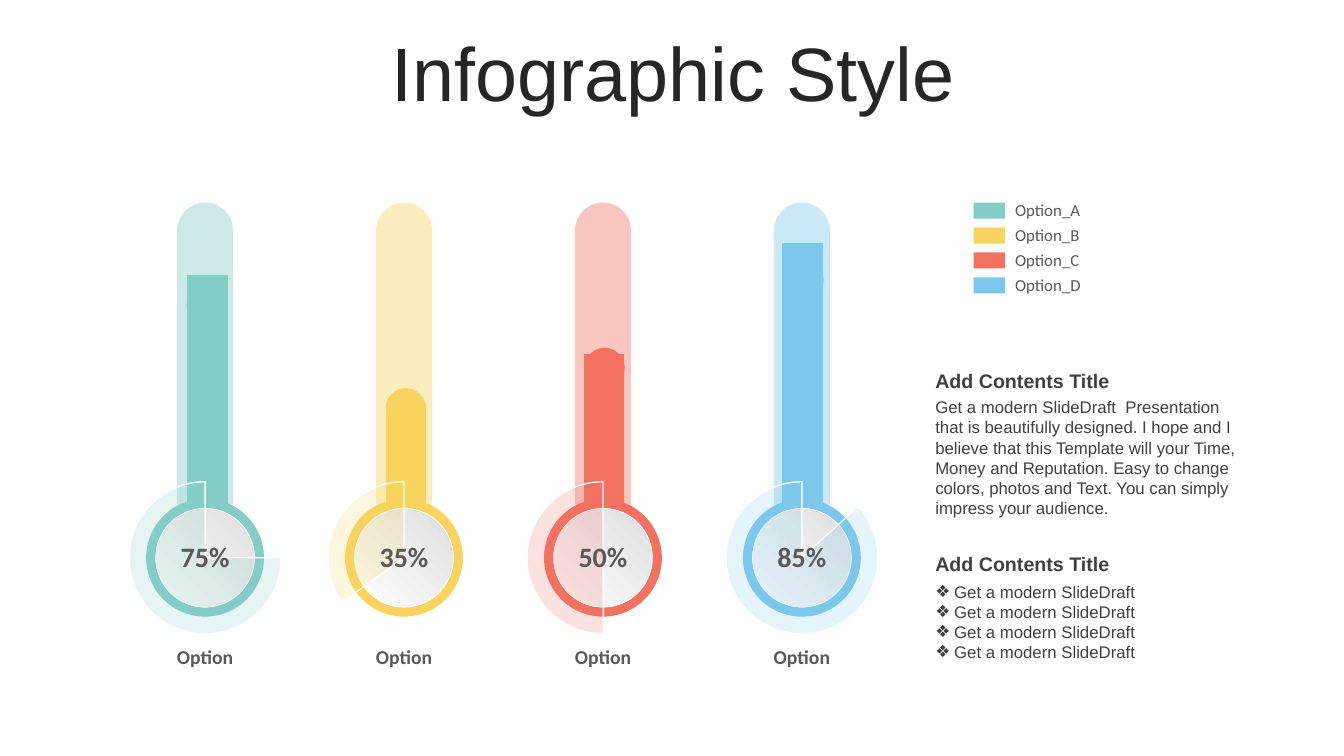
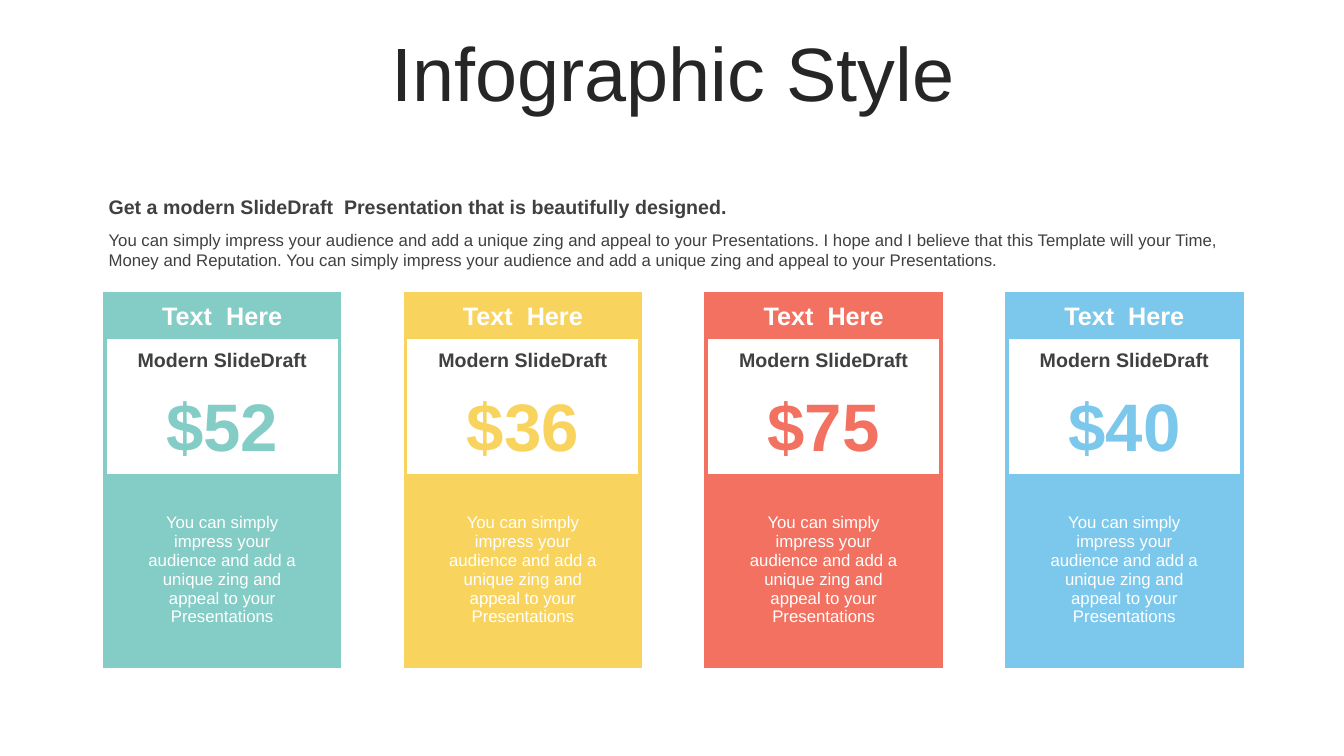
from lxml.etree import SubElement
from pptx import Presentation
from pptx.chart.data import CategoryChartData
from pptx.dml.color import RGBColor
from pptx.enum.chart import XL_CHART_TYPE
from pptx.enum.shapes import MSO_SHAPE
from pptx.enum.text import MSO_ANCHOR, MSO_AUTO_SIZE, PP_ALIGN
from pptx.oxml import parse_xml
from pptx.oxml.ns import nsdecls, qn
from pptx.util import Pt

TEAL = RGBColor(0x84, 0xCC, 0xC6)
GOLD = RGBColor(0xF8, 0xD4, 0x5E)
CORAL = RGBColor(0xF2, 0x71, 0x61)
SKY = RGBColor(0x7C, 0xC8, 0xEC)
WHITE = RGBColor(0xFF, 0xFF, 0xFF)
SILVER = RGBColor(0xDE, 0xDE, 0xDE)
GRAY = RGBColor(0x59, 0x59, 0x59)
DARK = RGBColor(0x40, 0x40, 0x40)
INK = RGBColor(0x26, 0x26, 0x26)
TINTS = (TEAL, GOLD, CORAL, SKY)
PLAIN = "{2D5ABB26-0587-4C30-8999-92F81FD0307C}"


def write(frame, text, size=12, color=DARK, bold=False, font="Arial",
          align=PP_ALIGN.LEFT, mark=None, space=None):
    frame.word_wrap = True
    for i, line in enumerate(text.split("\n")):
        para = frame.add_paragraph() if i else frame.paragraphs[0]
        para.alignment = align
        if space:
            para.line_spacing = space
            para.space_before = Pt(0)
        if mark:
            props = para._p.get_or_add_pPr()
            props.set("marL", str(Pt(13.5)))
            props.set("indent", str(-Pt(13.5)))
            SubElement(props, qn("a:buFont")).set("typeface", "Arial")
            SubElement(props, qn("a:buChar")).set("char", mark)
        run = para.add_run()
        run.text = line
        run.font.name = font
        run.font.size = Pt(size)
        run.font.bold = bold
        run.font.color.rgb = color


def label(slide, box, text, **style):
    item = slide.shapes.add_textbox(*map(Pt, box))
    write(item.text_frame, text, **style)


def shape(slide, kind, box, fill, alpha=None, line=None):
    item = slide.shapes.add_shape(kind, *map(Pt, box))
    item.shadow.inherit = False
    item.fill.solid()
    item.fill.fore_color.rgb = fill
    if alpha:
        color = item.fill._xPr.find(qn("a:solidFill"))[0]
        SubElement(color, qn("a:alpha")).set("val", str(alpha * 1000))
    if line:
        item.line.color.rgb = WHITE
        item.line.width = Pt(line)
    else:
        item.line.fill.background()
    return item


def disc(slide, mid, y, size, fill, **style):
    box = (mid - size / 2, y - size / 2, size, size)
    return shape(slide, MSO_SHAPE.OVAL, box, fill, **style)


def start(deck):
    slide = deck.slides.add_slide(deck.slide_layouts[5])
    title = slide.shapes.title
    title.left, title.top, title.width, title.height = map(Pt, (25, 26.5, 911.5, 57))
    frame = title.text_frame
    frame.auto_size = MSO_AUTO_SIZE.NONE
    frame.vertical_anchor = MSO_ANCHOR.MIDDLE
    write(frame, "Infographic Style", size=54, color=INK,
          align=PP_ALIGN.CENTER, space=0.9)
    return slide


def tube(slide, mid, tint):
    item = shape(slide, MSO_SHAPE.ROUNDED_RECTANGLE,
                 (mid - 20, 144.7, 40, 232.5), tint, alpha=40)
    item.adjustments[0] = 0.5


def bars(slide, box, values):
    data = CategoryChartData()
    data.categories = [str(i + 1) for i in range(len(values))]
    data.add_series("Series 1", values)
    chart = slide.shapes.add_chart(
        XL_CHART_TYPE.COLUMN_STACKED, *map(Pt, box), data).chart
    chart.has_legend = False
    chart.has_title = False
    chart.font.name = "Arial"
    chart.font.size = Pt(18)
    for axis in (chart.category_axis, chart.value_axis):
        axis.has_major_gridlines = False
        axis.visible = False
    chart.value_axis.minimum_scale = 0
    chart.value_axis.maximum_scale = 100
    plot = chart.plots[0]
    plot.gap_width = 392
    plot.overlap = 100
    plot.vary_by_categories = False
    for i, tint in enumerate(TINTS):
        fill = plot.series[0].points[i].format.fill
        fill.solid()
        fill.fore_color.rgb = tint
    root = chart.element
    area = root.find(qn("c:chart")).find(qn("c:plotArea"))
    for old in area.findall(qn("c:layout")):
        area.remove(old)
    sides = (("x", 0.02), ("y", 0.07), ("w", 0.96), ("h", 0.91))
    rule = "".join(f'<c:{name}Mode val="edge"/>' for name in "xy")
    rule += "".join(f'<c:{name} val="{size}"/>' for name, size in sides)
    area.insert(0, parse_xml(
        f'<c:layout {nsdecls("c")}><c:manualLayout>'
        f'<c:layoutTarget val="inner"/>{rule}</c:manualLayout></c:layout>'))
    root.find(qn("c:chart")).addnext(parse_xml(
        f'<c:spPr {nsdecls("c", "a")}><a:noFill/><a:ln><a:noFill/></a:ln></c:spPr>'))


def dial(slide, mid, tint, share, angle):
    y = 398.4
    disc(slide, mid, y, 84.2, tint)
    face = disc(slide, mid, y, 70.5, WHITE, line=0.5)
    face.fill.gradient()
    face.fill.gradient_angle = 225
    for stop, color, place in zip(face.fill.gradient_stops, (SILVER, WHITE), (0, 1)):
        stop.color.rgb = color
        stop.position = place
    wedge = shape(slide, MSO_SHAPE.PIE, (mid - 54.3, y - 54.3, 108.6, 108.6),
                  tint, alpha=20, line=1)
    wedge.adjustments[0] = angle * 0.6
    wedge.adjustments[1] = 162
    style = dict(color=GRAY, bold=True, font="Calibri", align=PP_ALIGN.CENTER)
    label(slide, (mid - 42, 381.6, 84, 31.5), share, size=20, **style)
    label(slide, (mid - 48, 457.2, 96, 24.5), "Option", size=14, **style)


def key(slide, row, tint, name):
    y = 144.7 + 17.8 * row
    shape(slide, MSO_SHAPE.RECTANGLE, (695.5, y, 22.5, 11.5), tint)
    label(slide, (718, y - 5.5, 80, 21.6), name, color=GRAY, font="Calibri")


def gauges(deck):
    slide = start(deck)
    mids = [146.5 + 142.1 * i for i in range(len(TINTS))]
    for mid, tint in zip(mids, TINTS):
        tube(slide, mid, tint)
    bars(slide, (65.5, 158.4, 590.4, 213.1), (88, 41, 59, 100))
    shares = ("75%", "35%", "50%", "85%")
    angles = (0, 144.35, 89.6, 317.65)
    for parts in zip(mids, TINTS, shares, angles):
        dial(slide, *parts)
    for row, (tint, mark) in enumerate(zip(TINTS, "ABCD")):
        key(slide, row, tint, f"Option_{mark}")
    for mid, tint, y in zip(mids, TINTS, (218.2, 291.6, 262.8, 200.2)):
        disc(slide, mid + 1.2, y, 28.8, tint)
    left, wide = 661, 232.5
    for y in (260, 391):
        label(slide, (left, y, wide, 24.5), "Add Contents Title", size=14, bold=True)
    label(slide, (left, 280, wide, 94.3),
          "Get a modern SlideDraft  Presentation that is beautifully designed. "
          "I hope and I believe that this Template will your Time, Money and "
          "Reputation. Easy to change colors, photos and Text. You can simply "
          "impress your audience.")
    label(slide, (left, 411.8, wide, 65.5),
          "\n".join(["Get a modern SlideDraft"] * 4), mark="❖")


def edge(cell, side, tint):
    line = SubElement(cell._tc.get_or_add_tcPr(), qn(f"a:ln{side}"))
    line.set("w", str(Pt(3)))
    fill = SubElement(line, qn("a:solidFill"))
    SubElement(fill, qn("a:srgbClr")).set("val", str(tint))


def card(slide, left, tint, price):
    cols = (16.6, 133.2, 16.6)
    rows = (31.7, 31.7, 64.8, 21.6, 93.6, 21.6)
    table = slide.shapes.add_table(
        len(rows), len(cols), *map(Pt, (left, 210.2, sum(cols), sum(rows)))).table
    table._tbl.tblPr.find(qn("a:tableStyleId")).text = PLAIN
    for col, size in zip(table.columns, cols):
        col.width = Pt(size)
    for row, size in zip(table.rows, rows):
        row.height = Pt(size)
    for y in range(3):
        table.cell(y, 0).merge(table.cell(y, 2))
    for y in range(len(rows)):
        for x in range(len(cols)):
            cell = table.cell(y, x)
            tests = (("L", x == 0), ("R", x == 2 or cell.is_merge_origin),
                     ("T", y == 0), ("B", y == len(rows) - 1))
            for side, shown in tests:
                if shown:
                    edge(cell, side, tint)
            cell.fill.solid()
            cell.fill.fore_color.rgb = WHITE if y in (1, 2) else tint
            cell.margin_top = cell.margin_bottom = Pt(0)
            cell.vertical_anchor = MSO_ANCHOR.MIDDLE
    texts = (
        (0, 0, "Text  Here", 18, WHITE, True),
        (1, 0, "Modern SlideDraft", 14, DARK, True),
        (2, 0, price, 48, tint, True),
        (4, 1, "You can simply impress your audience and add a unique zing "
               "and appeal to your Presentations", 12, WHITE, False),
    )
    for y, x, text, size, color, bold in texts:
        write(table.cell(y, x).text_frame, text, size=size, color=color,
              bold=bold, align=PP_ALIGN.CENTER)


def prices(deck):
    slide = start(deck)
    for i, (tint, price) in enumerate(zip(TINTS, ("$52", "$36", "$75", "$40"))):
        card(slide, 74.9 + 214.8 * i, tint, price)
    label(slide, (70.5, 136, 819.5, 24.5),
          "Get a modern SlideDraft  Presentation that is beautifully designed.",
          size=14, bold=True)
    label(slide, (70.5, 160.5, 819.5, 36),
          "You can simply impress your audience and add a unique zing and appeal "
          "to your Presentations. I hope and I believe that this Template will "
          "your Time, Money and Reputation. You can simply impress your audience "
          "and add a unique zing and appeal to your Presentations.")


def main():
    deck = Presentation()
    deck.slide_width, deck.slide_height = Pt(960), Pt(540)
    gauges(deck)
    prices(deck)
    deck.save("out.pptx")


if __name__ == "__main__":
    main()
